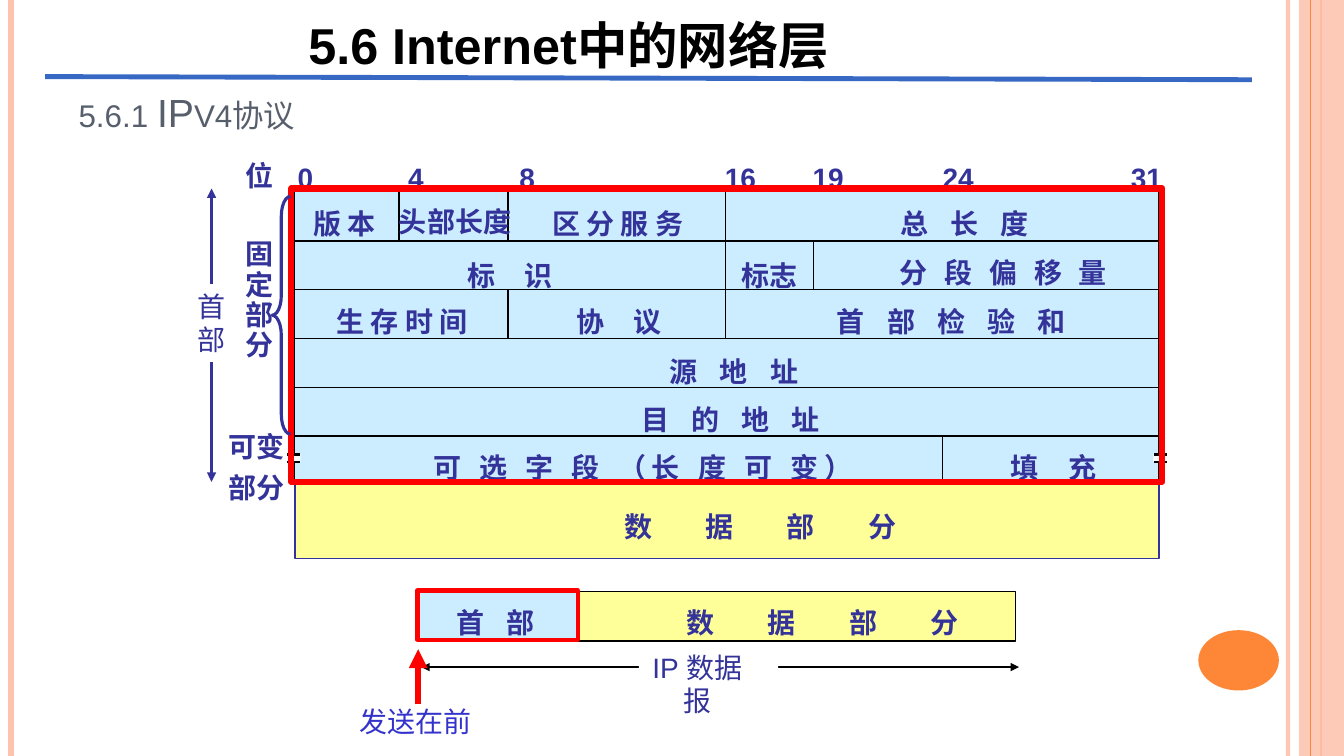
"""Builds the slide on the IPv4 datagram header."""
import pptx
import pptx.util
import pptx.dml.color
import pptx.enum.shapes
import pptx.enum.text
import pptx.oxml
import pptx.oxml.ns


class Theme:
    ink, black, white, red = "333399", "000000", "FFFFFF", "FF0000"
    blue, note, grey = "3668C4", "3333CC", "575F6D"
    sky, lemon, peach, orange = "CCECFF", "FFFF99", "FEC3AE", "FE8637"
    face, serif = "Arial", "Times New Roman"
    title, head, body = 36, 28, 20


COLS = {4: 10.06, 8: 12.8, 16: 18.29, 19: 20.5, 24: 23.75}
BITS = [("0", 7.24), ("4", 10.03), ("8", 12.83), ("16", 18.01),
        ("19", 20.22), ("24", 23.5), ("31", 28.24)]
SPLITS = [(4, 0, 1), (8, 0, 1), (8, 2, 3), (16, 0, 3), (19, 1, 2), (24, 5, 6)]
FIELDS = [
    ("版 本", 7.62, 4.9, 2.13, 0),
    ("头部长度", 9.78, 4.85, 3.38, 0),
    ("区 分 服 务", 13.59, 4.9, 3.96, 0),
    ("总 长 度", 22.28, 4.9, 3.84, 5.6),
    ("标 识", 11.35, 6.22, 2.72, 8.3),
    ("标志", 18.44, 6.22, 1.93, 0),
    ("分 段 偏 移 量", 22.2, 6.15, 6.05, 3.7),
    ("生 存 时 间", 8.15, 7.37, 3.96, 0),
    ("协 议", 14.1, 7.37, 2.72, 8.3),
    ("首 部 检 验 和", 20.65, 7.37, 6.45, 5.6),
    ("源 地 址", 16.48, 8.64, 3.84, 5.6),
    ("目 的 地 址", 15.75, 9.86, 5.13, 5.6),
    ("可 选 字 段 （长 度 可 变）", 10.34, 11.05, 11.58, 4.2),
    ("填 充", 25.04, 11.05, 2.72, 8.3),
    ("位", 5.92, 3.71, 1.22, 0),
    ("数 据 部 分", 14.83, 12.55, 8.08, 16.7),
    ("数 据 部 分", 16.13, 14.96, 8.61, 16.7),
    ("首 部", 11.13, 14.96, 2.54, 5.6),
]
TOP, STEP = 4.84, 1.23
LEFT, RIGHT = 7.37, 29.26

Cm, Pt = pptx.util.Cm, pptx.util.Pt
KIND = pptx.enum.shapes.MSO_SHAPE
ALIGN = pptx.enum.text.PP_ALIGN
ANCHOR = pptx.enum.text.MSO_ANCHOR
qn = pptx.oxml.ns.qn

deck = pptx.Presentation()
deck.slide_width, deck.slide_height = Cm(33.87), Cm(19.05)
slide = deck.slides.add_slide(deck.slide_layouts[6])


def rgb(code):
    return pptx.dml.color.RGBColor.from_string(code)


def add(parent, tag, **attrs):
    node = parent.makeelement(qn(tag), attrs)
    parent.append(node)
    return node


def fade(item, share):
    for tone in item._element.spPr.iter(qn("a:srgbClr")):
        add(tone, "a:alpha", val=str(share * 1000))


def shape(x, y, w, h, fill=None, line=None, width=1, kind=KIND.RECTANGLE):
    item = slide.shapes.add_shape(kind, Cm(x), Cm(y), Cm(w), Cm(h))
    item.shadow.inherit = False
    if fill:
        item.fill.solid()
        item.fill.fore_color.rgb = rgb(fill)
    else:
        item.fill.background()
    if line:
        item.line.color.rgb = rgb(line)
        item.line.width = Pt(width)
    else:
        item.line.fill.background()
    return item


def rule(x1, y1, x2, y2, color=Theme.black, width=1, ends=()):
    item = slide.shapes.add_connector(
        pptx.enum.shapes.MSO_CONNECTOR.STRAIGHT, Cm(x1), Cm(y1), Cm(x2), Cm(y2))
    item.line.color.rgb = rgb(color)
    item.line.width = Pt(width)
    for end in ends:
        add(item.line._get_or_add_ln(), end, type="triangle")
    add(item._element.spPr, "a:effectLst")
    return item


def write(item, lines, color=Theme.ink, size=Theme.body, bold=False,
          space=None, align=ALIGN.CENTER, face=Theme.face, gap=0):
    frame = item.text_frame
    frame.word_wrap = False
    frame.vertical_anchor = ANCHOR.TOP
    for i, line in enumerate(lines):
        para = frame.add_paragraph() if i else frame.paragraphs[0]
        para.alignment = align
        if space:
            para.line_spacing = space
        run = para.add_run()
        run.text = line
        font = run.font
        font.size, font.bold, font.name = Pt(size), bold, face
        font.color.rgb = rgb(color)
        if gap:
            run._r.get_or_add_rPr().set("spc", str(round(gap * 100)))
    return item


def box(x, y, w, h):
    return slide.shapes.add_textbox(Cm(x), Cm(y), Cm(w), Cm(h))


def label(text, x, y, w, gap=0):
    item = box(x, y, w, 1.27)
    item.left += Pt(gap / 2)
    write(item, [text], bold=True, space=1.2, gap=gap)


def frame():
    fade(rule(32.46, 0, 32.46, 19.05, Theme.peach, 3), 93)
    rule(0.28, 0, 0.28, 19.05, Theme.peach, 4.5)
    rule(33.3, 0, 33.3, 19.05, Theme.orange, 1.5)
    fade(shape(32.74, 0, 1.13, 19.05, Theme.peach), 87)
    rule(33.02, 0, 33.02, 19.05, Theme.orange, 0.75)
    shape(30.2, 15.88, 2.03, 1.52, Theme.orange, kind=KIND.OVAL)


def grid():
    shape(7.39, 4.8, 21.84, 7.34, Theme.sky, Theme.black, 2)
    shape(7.44, 12.19, 21.77, 1.88, Theme.lemon, Theme.ink)
    shape(10.54, 14.91, 3.99, 1.24, Theme.sky, Theme.black)
    shape(14.53, 14.91, 11.07, 1.24, Theme.lemon, Theme.black)
    for row in range(1, 6):
        rule(LEFT, TOP + row * STEP, RIGHT, TOP + row * STEP)
    for bit, start, stop in SPLITS:
        rule(COLS[bit], TOP + start * STEP, COLS[bit], TOP + stop * STEP)
    for text, x in BITS:
        label(text, x, 3.76, 0.91 if len(text) == 1 else 1.3)
    for field in FIELDS:
        label(*field)
    for x in (7.22, 29.07):
        shape(x, 11.44, 0.35, 0.2, Theme.white)
        for y in (11.46, 11.64):
            rule(x + 0.02, y, x + 0.34, y, width=2)


def marks():
    both = ("a:headEnd", "a:tailEnd")
    write(box(5.92, 5.94, 1.22, 3.33), "固定部分", bold=True, space=0.9)
    write(box(5.51, 10.54, 1.93, 2.31), ["可变", "部分"], bold=True, space=1.2)
    rule(10.62, 16.81, 25.68, 16.81, ends=both)
    name = write(shape(16.1, 16.26, 3.51, 1.09, Theme.white), ["IP 数据报"])
    name.text_frame.word_wrap = True
    name.text_frame.margin_right = Cm(0.81)
    rule(5.33, 4.75, 5.33, 12.14, Theme.ink, 2.25, both)
    write(shape(4.72, 7.16, 1.22, 1.96, Theme.white), "首部")
    shape(7.34, 4.75, 21.95, 7.39, None, Theme.red, 4.5)
    shape(10.52, 14.88, 4.04, 1.24, None, Theme.red, 3)
    brace = shape(6.86, 4.95, 0.46, 5.99, None, Theme.ink, 2.25, KIND.LEFT_BRACE)
    brace.adjustments[0] = 1.08
    rule(10.54, 17.75, 10.54, 16.36, Theme.red, 4.5, both[1:])
    write(box(8.79, 17.63, 3.35, 1.09), ["发送在前"], Theme.note, face=Theme.serif)


def heads():
    part = write(box(1.73, 1.52, 22.61, 2.01), ["5.6.1 IPv4协议"], Theme.grey,
                 Theme.head, align=ALIGN.LEFT)
    part.text_frame.word_wrap = True
    part.text_frame.vertical_anchor = ANCHOR.BOTTOM
    part.text_frame.paragraphs[0].runs[0]._r.get_or_add_rPr().set("cap", "small")
    rule(1.14, 1.93, 31.55, 2.01, Theme.blue, 3.5)
    write(box(7.52, -0.08, 14.71, 2.11), ["5.6 Internet中的网络层"], Theme.black,
          Theme.title, True, 1.2, ALIGN.LEFT)


if __name__ == "__main__":
    frame()
    grid()
    marks()
    heads()
    deck.save("out.pptx")
